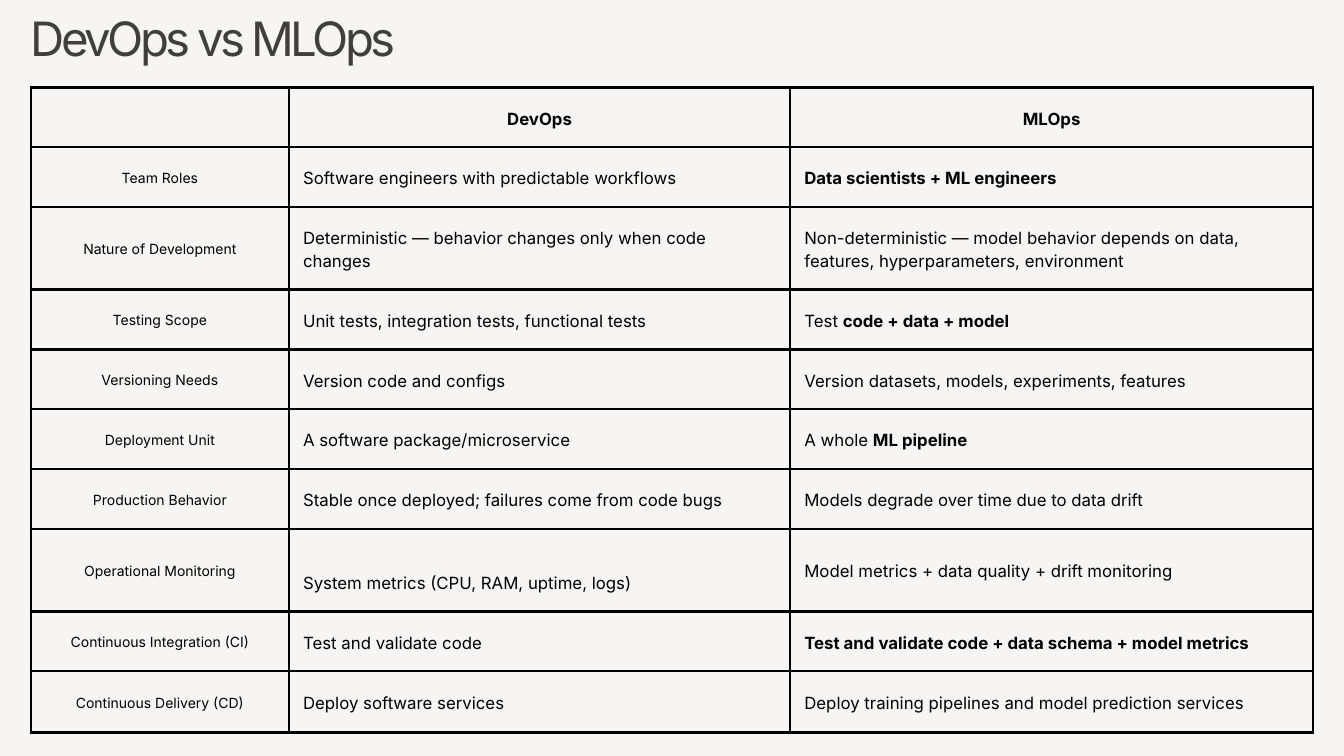
from dataclasses import dataclass

from lxml.etree import SubElement
from pptx import Presentation
from pptx.dml.color import RGBColor
from pptx.enum.text import MSO_ANCHOR as Anchor, MSO_AUTO_SIZE as AutoSize, PP_ALIGN as Align
from pptx.oxml.ns import qn
from pptx.util import Emu, Pt

PX = 9144  # EMU per px, 100 px to the inch


@dataclass(frozen=True)
class Theme:
    font: str = "Inter"
    background: str = "F6F5F3"
    title: str = "403E3E"
    ink: str = "000000"
    title_size: float = 50.7
    title_leading: float = 43.1
    body_size: int = 18
    label_size: int = 15
    leading: float = 1.4
    border: int = 3
    cell_margin: int = 21


ROWS = [
    ("", "**DevOps**", "**MLOps**"),
    ("Team Roles", "Software engineers with predictable workflows",
     "**Data scientists + ML engineers**"),
    ("Nature of Development", "Deterministic — behavior changes only when code changes",
     "Non-deterministic — model behavior depends on data, features, hyperparameters, environment"),
    ("Testing Scope", "Unit tests, integration tests, functional tests",
     "Test **code + data + model**"),
    ("Versioning Needs", "Version code and configs",
     "Version datasets, models, experiments, features"),
    ("Deployment Unit", "A software package/microservice", "A whole **ML pipeline**"),
    ("Production Behavior", "Stable once deployed; failures come from code bugs",
     "Models degrade over time due to data drift"),
    ("Operational Monitoring", "System metrics (CPU, RAM, uptime, logs)",
     "Model metrics + data quality + drift monitoring"),
    ("Continuous Integration (CI)", "Test and validate code",
     "**Test and validate code + data schema + model metrics**"),
    ("Continuous Delivery (CD)", "Deploy software services",
     "Deploy training pipelines and model prediction services"),
]
COL_WIDTHS = [384, 746, 778]
ROW_HEIGHTS = [89, 89, 123, 89, 89, 89, 89, 123, 89, 91]
MONITORING_ROW = 7


def px(n):
    return Emu(n * PX)


class Deck:
    def __init__(self, theme, width, height):
        self.theme = theme
        self.prs = Presentation()
        self.prs.slide_width, self.prs.slide_height = px(width), px(height)
        self.s = None

    def slide(self):
        self.s = self.prs.slides.add_slide(self.prs.slide_layouts[5])
        fill = self.s.background.fill
        fill.solid()
        fill.fore_color.rgb = RGBColor.from_string(self.theme.background)

    def font(self, p, size, color):
        p.font.name, p.font.size = self.theme.font, Pt(size)
        p.font.color.rgb = RGBColor.from_string(color)

    def title(self, text, x, y, w, h):
        t, sp = self.theme, self.s.shapes.title
        sp.left, sp.top, sp.width, sp.height = map(px, (x, y, w, h))
        tf = sp.text_frame
        tf.margin_left = tf.margin_right = tf.margin_top = tf.margin_bottom = 0
        tf.vertical_anchor, tf.auto_size = Anchor.TOP, AutoSize.SHAPE_TO_FIT_TEXT
        tf.word_wrap = True
        p = tf.paragraphs[0]
        p.alignment, p.line_spacing = Align.LEFT, Pt(t.title_leading)
        self.font(p, t.title_size, t.title)
        r = p.add_run()
        r.text = text
        r.font._element.set("spc", "-380")

    def table(self, rows, x, y, widths, heights):
        t = self.theme
        table = self.s.shapes.add_table(len(rows), len(widths), px(x), px(y),
                                        px(sum(widths)), px(sum(heights))).table
        table.first_row = table.horz_banding = False
        for col, w in zip(table.columns, widths):
            col.width = px(w)
        for i, (row, h) in enumerate(zip(rows, heights)):
            table.rows[i].height = px(h)
            for j, text in enumerate(row):
                size = t.label_size if i and j == 0 else t.body_size
                align = Align.CENTER if i == 0 or j == 0 else Align.LEFT
                self.cell(table.cell(i, j), text, size, align)
        return table

    def cell(self, cell, text, size, align):
        """Fill one cell; **double stars** mark bold text."""
        t = self.theme
        self.borders(cell)
        cell.fill.background()
        cell.vertical_anchor = Anchor.MIDDLE
        margin = px(t.cell_margin)
        cell.margin_left = cell.margin_right = cell.margin_top = cell.margin_bottom = margin
        p = cell.text_frame.paragraphs[0]
        p.alignment, p.line_spacing = align, Pt(size * t.leading)
        self.font(p, size, t.ink)
        for k, part in enumerate(text.split("**")):
            if part:
                r = p.add_run()
                r.text, r.font.bold = part, k % 2 == 1

    def borders(self, cell):
        tc_pr = cell._tc.get_or_add_tcPr()
        for side in ("lnL", "lnR", "lnT", "lnB"):
            ln = SubElement(tc_pr, qn(f"a:{side}"), w=str(Pt(self.theme.border)))
            fill = SubElement(ln, qn("a:solidFill"))
            SubElement(fill, qn("a:srgbClr"), val=self.theme.ink)


def main():
    theme = Theme()
    deck = Deck(theme, 2000, 1125)
    deck.slide()
    table = deck.table(ROWS, 46, 130, COL_WIDTHS, ROW_HEIGHTS)
    # The DevOps monitoring text sits one line lower than its row
    table.cell(MONITORING_ROW, 1).margin_top = px(theme.cell_margin + 35)
    deck.title("DevOps vs MLOps", 46, 38, 639, 65)
    deck.prs.save("out.pptx")


if __name__ == "__main__":
    main()
